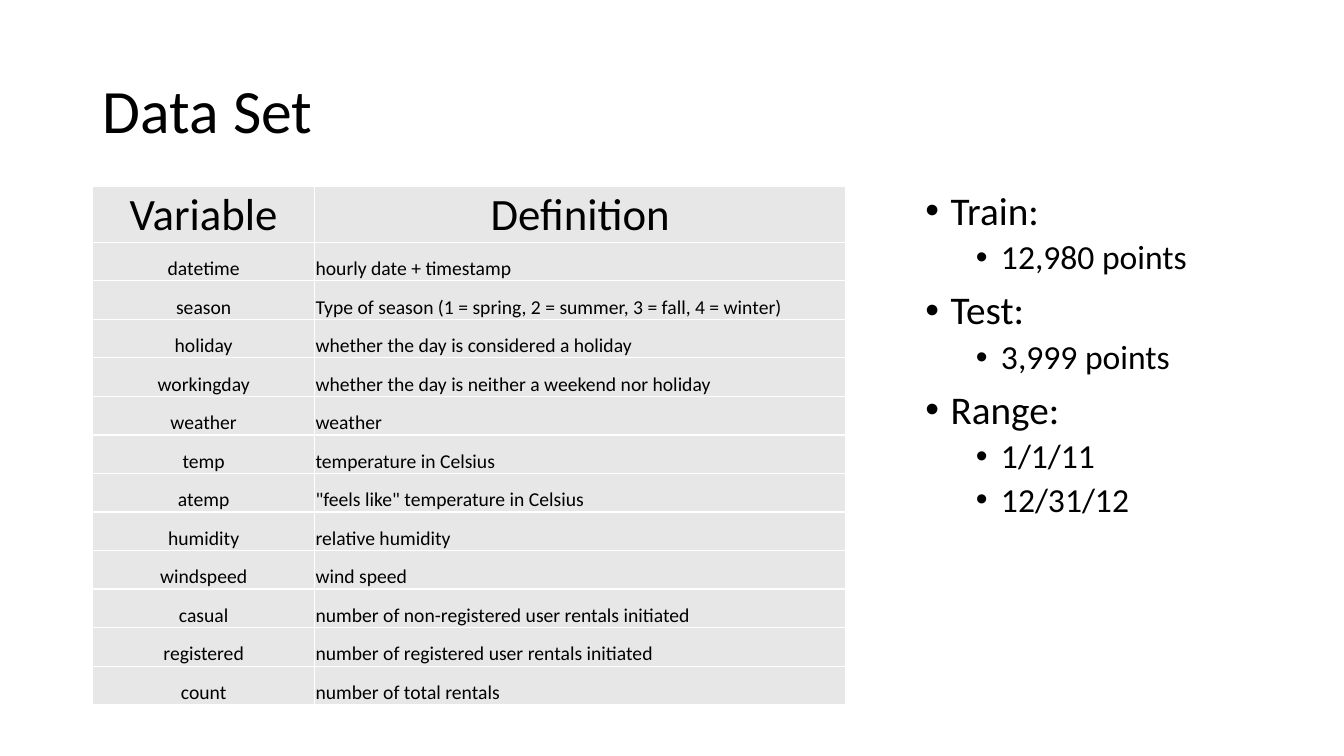
import pptx
import pptx.dml.color
import pptx.enum.text
import pptx.oxml
import pptx.oxml.ns
import pptx.util
from pptx.util import Inches

ALIGN = pptx.enum.text.PP_ALIGN
ANCHOR = pptx.enum.text.MSO_ANCHOR
NAMESPACE = pptx.oxml.ns.nsdecls("a")


def color(hex_string):
    return pptx.dml.color.RGBColor.from_string(hex_string)


def style(para, size):
    para.font.name = "Calibri"
    para.font.size = pptx.util.Pt(size)
    para.font.bold = False
    para.font.color.rgb = color("000000")


deck = pptx.Presentation()
deck.slide_width = Inches(13.33)
deck.slide_height = Inches(7.5)
page = deck.slides.add_slide(deck.slide_layouts[5])

# Title
title = page.shapes.title
title.left, title.top = Inches(0.92), Inches(0.4)
title.width, title.height = Inches(11.5), Inches(1.45)
title.text_frame.text = "Data Set"
title.text_frame.vertical_anchor = ANCHOR.MIDDLE
title_para = title.text_frame.paragraphs[0]
title_para.alignment = ALIGN.LEFT
title_para.line_spacing = 0.9
style(title_para, 44)

# Table of variables
variables = [
    ("Variable", "Definition"),
    ("datetime", "hourly date + timestamp"),
    ("season", "Type of season (1 = spring, 2 = summer, 3 = fall, 4 = winter)"),
    ("holiday", "whether the day is considered a holiday"),
    ("workingday", "whether the day is neither a weekend nor holiday"),
    ("weather", "weather"),
    ("temp", "temperature in Celsius"),
    ("atemp", '"feels like" temperature in Celsius'),
    ("humidity", "relative humidity"),
    ("windspeed", "wind speed"),
    ("casual", "number of non-registered user rentals initiated"),
    ("registered", "number of registered user rentals initiated"),
    ("count", "number of total rentals"),
]
table = page.shapes.add_table(
    len(variables), 2, Inches(0.92), Inches(1.85), Inches(7.47), Inches(5.14)
).table
table.first_row = False
table.horz_banding = False
table.columns[0].width = Inches(2.2)
table.columns[1].width = Inches(5.27)

for row_index, row_texts in enumerate(variables):
    is_header = row_index == 0
    table.rows[row_index].height = Inches(0.55 if is_header else 0.3825)
    for column_index, text in enumerate(row_texts):
        cell = table.cell(row_index, column_index)
        cell.text = text
        cell.vertical_anchor = ANCHOR.BOTTOM
        cell.margin_left = cell.margin_right = cell.margin_top = Inches(0.01)
        cell.margin_bottom = 0
        para = cell.text_frame.paragraphs[0]
        centered = is_header or column_index == 0
        para.alignment = ALIGN.CENTER if centered else ALIGN.LEFT
        style(para, 32 if is_header else 14)
        properties = cell._tc.get_or_add_tcPr()
        for side in ("lnL", "lnR", "lnT", "lnB"):
            properties.append(pptx.oxml.parse_xml(
                f'<a:{side} {NAMESPACE} w="12700"><a:solidFill>'
                f'<a:srgbClr val="FFFFFF"/></a:solidFill></a:{side}>'
            ))
        cell.fill.solid()
        cell.fill.fore_color.rgb = color("E7E7E7")

# Bulleted facts
facts = [
    (0, "Train:"),
    (1, "12,980 points"),
    (0, "Test:"),
    (1, "3,999 points"),
    (0, "Range:"),
    (1, "1/1/11"),
    (1, "12/31/12"),
]
box = page.shapes.add_textbox(Inches(9.08), Inches(1.85), Inches(3.23), Inches(4.76))
box.text_frame.word_wrap = True
for index, (level, text) in enumerate(facts):
    para = box.text_frame.paragraphs[0] if index == 0 else box.text_frame.add_paragraph()
    para.text = text
    para.level = level
    para.line_spacing = 0.9
    para.space_before = pptx.util.Pt(5 if level else 10)
    style(para, 24 if level else 28)
    properties = para._p.get_or_add_pPr()
    properties.set("marL", str(Inches(0.25 + 0.5 * level)))
    properties.set("indent", str(Inches(-0.25)))
    bullet_parts = (
        f'<a:buFont {NAMESPACE} typeface="Arial"/>',
        f'<a:buChar {NAMESPACE} char="•"/>',
    )
    for offset, part in enumerate(bullet_parts):
        properties.insert(2 + offset, pptx.oxml.parse_xml(part))

deck.save("out.pptx")
